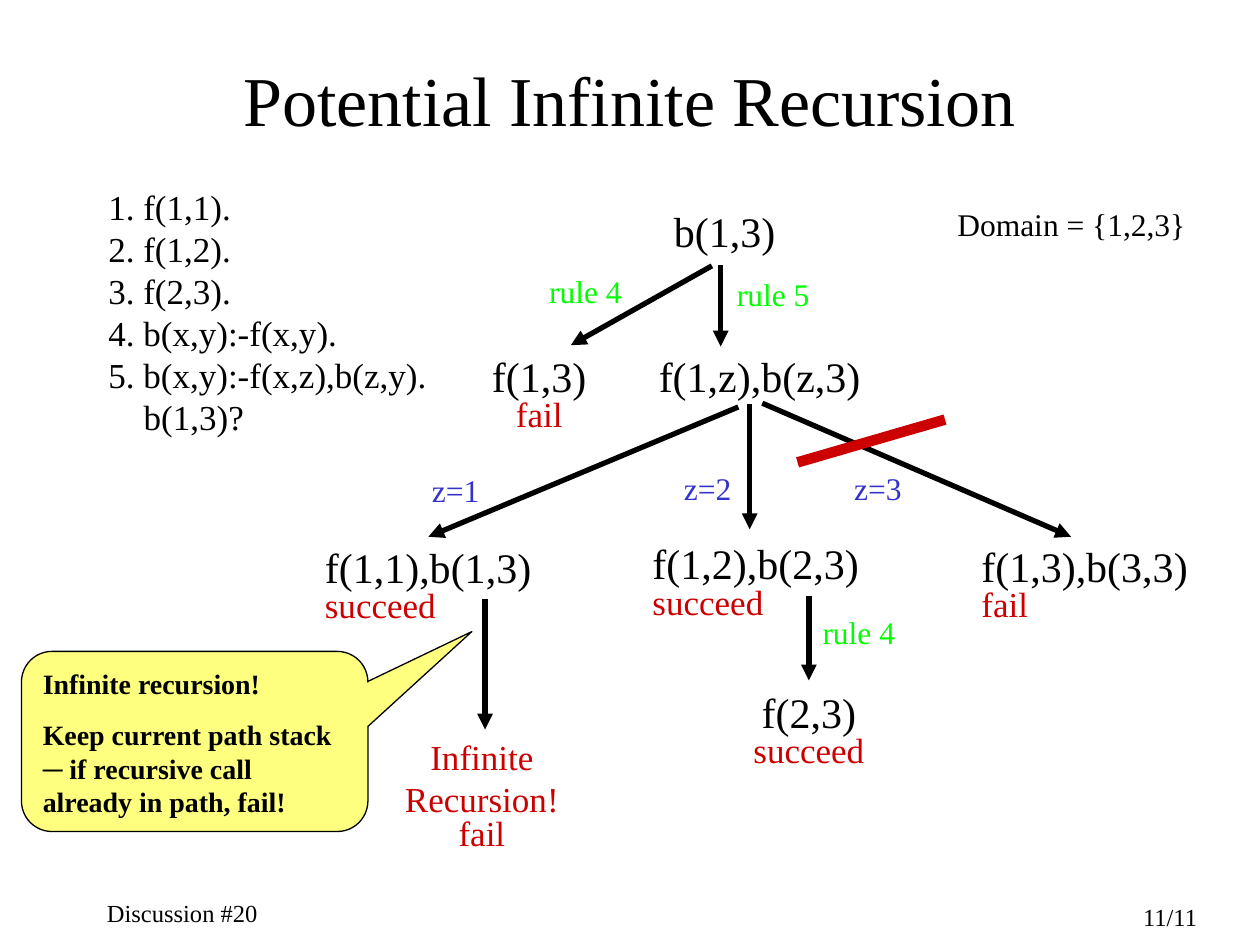
from lxml.etree import SubElement
from pptx import Presentation
from pptx.dml.color import RGBColor
from pptx.enum.shapes import MSO_CONNECTOR, MSO_SHAPE
from pptx.enum.text import MSO_ANCHOR, MSO_AUTO_SIZE, PP_ALIGN
from pptx.oxml.ns import qn
from pptx.util import Pt

PX = 9144
FONT = "Times New Roman"
COLORS = {"ink": "000000", "status": "CC0000", "rule": "00FF00",
          "binding": "3333CC", "callout": "FFFF00"}
LEFT, CENTER, RIGHT = PP_ALIGN.LEFT, PP_ALIGN.CENTER, PP_ALIGN.RIGHT


def rgb(name):
    return RGBColor.from_string(COLORS[name])


def add_run(p, text, size=18, color="ink", bold=False, font=FONT):
    r = p.add_run()
    r.text = text
    r.font.size, r.font.name, r.font.bold = Pt(size), font, bold
    r.font.color.rgb = rgb(color)


class Deck:
    """Builds the slide from titles, lists, tree nodes, labels and lines."""

    def __init__(self, width, height):
        self.prs = Presentation()
        self.prs.slide_width, self.prs.slide_height = width * PX, height * PX
        self.s = self.prs.slides.add_slide(self.prs.slide_layouts[1])

    def place(self, sp, x, y, w, h):
        sp.left, sp.top, sp.width, sp.height = (v * PX for v in (x, y, w, h))
        tf = sp.text_frame
        tf.word_wrap, tf.auto_size = True, MSO_AUTO_SIZE.NONE
        return tf

    def paragraph(self, tf, align=LEFT, before=0, spacing=1.0):
        p = tf.paragraphs[0]
        if p.runs:
            p = tf.add_paragraph()
        p.alignment, p.space_before, p.line_spacing = align, Pt(before), spacing
        return p

    def title(self, box, text):
        tf = self.place(self.s.shapes.title, *box)
        tf.vertical_anchor = MSO_ANCHOR.MIDDLE
        add_run(self.paragraph(tf, CENTER), text, size=40)

    def rules(self, box, items, query):
        tf = self.place(self.s.placeholders[1], *box)
        tf.vertical_anchor = MSO_ANCHOR.TOP
        numbered = [f"{i}. {item}" for i, item in enumerate(items, 1)]
        indents = [(67, -67)] * len(items) + [(28, 0)]
        for text, (margin, indent) in zip(numbered + [query], indents):
            p = self.paragraph(tf)
            pPr = p._p.get_or_add_pPr()
            pPr.set("marL", str(margin * PX))
            pPr.set("indent", str(indent * PX))
            SubElement(pPr, qn("a:buNone"))
            add_run(p, text, size=20)

    def text(self, box, text, align=LEFT, before=0, **style):
        sp = self.s.shapes.add_textbox(0, 0, 0, 0)
        tf = self.place(sp, *box)
        add_run(self.paragraph(tf, align, before), text, **style)
        return sp

    def label(self, x, y, w, text, color="ink"):
        self.text((x, y, w, 40), text, before=11.2, color=color)

    def node(self, x, y, w, text, status=None, align=LEFT, h=77, size=24, color="ink"):
        sp = self.text((x, y, w, h if status else 50), text, align,
                       before=size * 0.625, size=size, color=color)
        if status:
            p = self.paragraph(sp.text_frame, align, spacing=0.8)
            add_run(p, status, size=20, color="status")
        return sp

    def line(self, x1, y1, x2, y2, color="ink", width=3, arrow=True, target=None):
        cx = self.s.shapes.add_connector(
            MSO_CONNECTOR.STRAIGHT, x1 * PX, y1 * PX, x2 * PX, y2 * PX)
        cx.line.color.rgb, cx.line.width = rgb(color), Pt(width)
        if arrow:
            SubElement(cx.line._get_or_add_ln(), qn("a:tailEnd"), type="triangle")
        SubElement(cx._element.spPr, qn("a:effectLst"))
        if target is not None:
            cx.end_connect(target, 0)

    def callout(self, box, adjustments, paragraphs):
        sp = self.s.shapes.add_shape(MSO_SHAPE.ROUNDED_RECTANGULAR_CALLOUT, 0, 0, 0, 0)
        tf = self.place(sp, *box)
        for i, value in enumerate(adjustments):
            sp.adjustments[i] = value
        sp.shadow.inherit = False
        sp.fill.solid()
        sp.fill.fore_color.rgb = rgb("callout")
        SubElement(sp._element.spPr.find(".//" + qn("a:srgbClr")),
                   qn("a:alpha"), val="50000")
        sp.line.color.rgb, sp.line.width = rgb("ink"), Pt(0.75)
        tf.vertical_anchor = MSO_ANCHOR.TOP
        for runs in paragraphs:
            p = self.paragraph(tf, before=10)
            for text, font in runs:
                add_run(p, text, size=16, bold=True, font=font)


def main():
    d = Deck(1000, 750)
    d.title((75, 50, 850, 56), "Potential Infinite Recursion")
    d.rules((76, 142, 280, 222),
            ["f(1,1).", "f(1,2).", "f(2,3).", "b(x,y):-f(x,y).", "b(x,y):-f(x,z),b(z,y)."],
            "b(1,3)?")
    d.text((75, 708, 208, 33), "Discussion #20", size=14)
    d.text((750, 711, 210, 31), "11/11", RIGHT, size=14)

    d.node(525, 158, 108, "b(1,3)")
    d.node(376, 273, 104, "f(1,3)", "fail", CENTER)
    d.node(513, 273, 189, "f(1,z),b(z,3)")
    d.node(248, 425, 189, "f(1,1),b(1,3)", "succeed")
    d.node(769, 424, 189, "f(1,3),b(3,3)", "fail")
    d.node(508, 422, 189, "f(1,2),b(2,3)", "succeed")
    leaf = d.node(580, 540, 124, "f(2,3)", "succeed", CENTER)
    d.node(299, 579, 167, "Infinite Recursion!", "fail", CENTER,
           h=104, size=20, color="status")

    for ends in [(565, 211, 453, 274), (572, 210, 572, 275), (586, 323, 340, 426),
                 (605, 320, 850, 426), (595, 321, 595, 420), (385, 475, 385, 579)]:
        d.line(*ends)
    d.line(642, 473, 642, 540, target=leaf)

    for x, y, text in [(426, 211, "rule 4"), (575, 213, "rule 5"), (643, 482, "rule 4")]:
        d.label(x, y, 90, text, "rule")
    for x, y, text in [(333, 369, "z=1"), (533, 367, "z=2"), (668, 367, "z=3")]:
        d.label(x, y, 62, text, "binding")

    d.callout((17, 517, 275, 143), (0.8, -0.61, 0.17), [
        [("Infinite recursion!", FONT)],
        [("Keep current path stack ", FONT), ("─", "Arial"),
         (" if recursive call already in path, fail!", FONT)]])
    d.label(750, 158, 217, "Domain = {1,2,3}")
    d.line(633, 367, 750, 333, color="status", width=6, arrow=False)
    d.prs.save("out.pptx")


if __name__ == "__main__":
    main()
